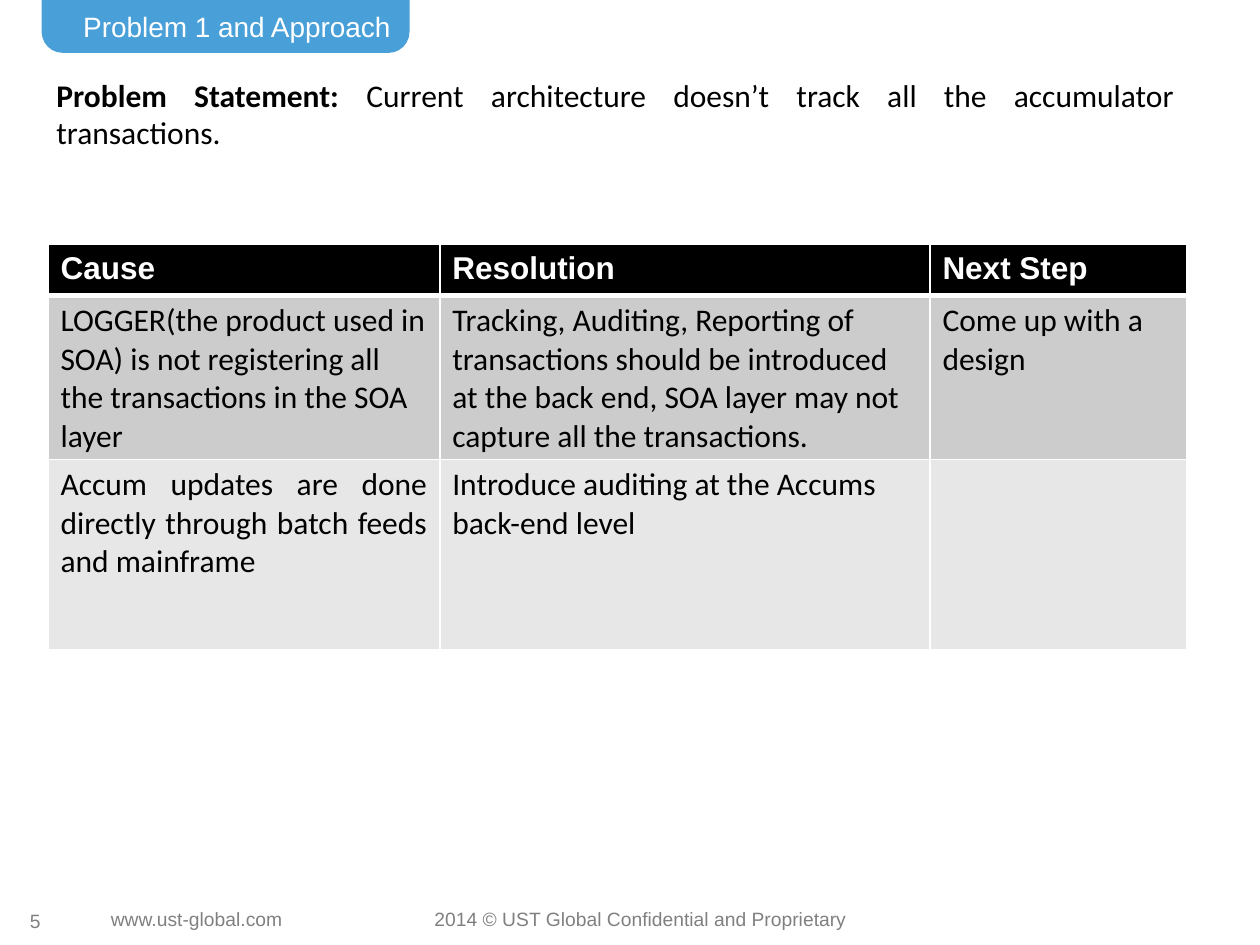
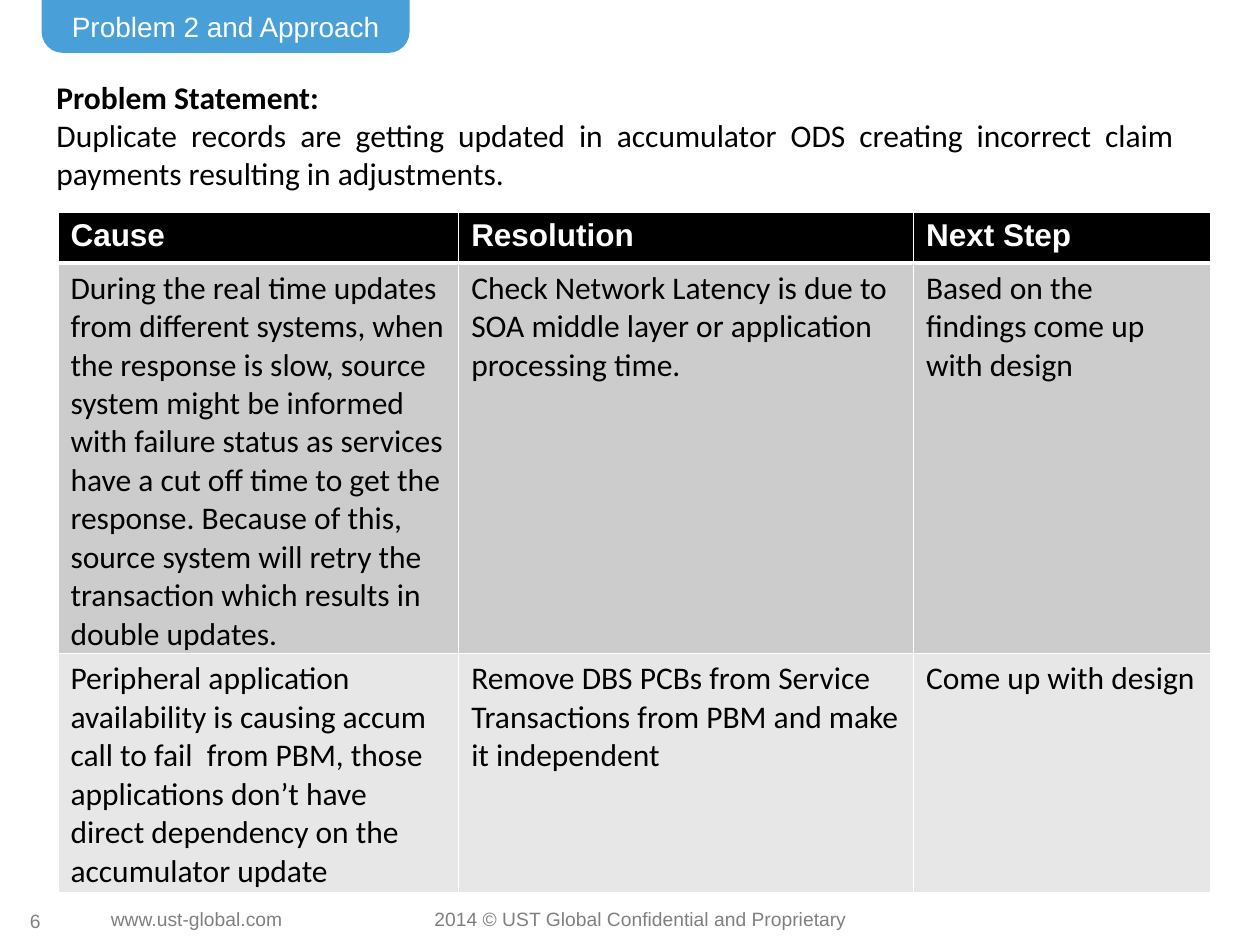
from lxml import etree
from pptx import Presentation
from pptx.dml.color import RGBColor
from pptx.enum import shapes, text
from pptx.oxml import ns
from pptx.util import Pt

BLUE = RGBColor(0x49, 0xA0, 0xD8)
GREY = RGBColor(0x80, 0x80, 0x80)
BLACK = RGBColor(0, 0, 0)
WHITE = RGBColor(0xFF, 0xFF, 0xFF)
ROW_FILLS = (BLACK, RGBColor(0xCC, 0xCC, 0xCC), RGBColor(0xE7, 0xE7, 0xE7))

TAB = {"name": "Arial", "size": Pt(16), "bold": False, "color": WHITE}
FOOTER = {"name": "Arial", "size": Pt(11), "color": GREY}
HEADER = {"name": "Arial", "size": Pt(18), "bold": True, "color": WHITE}
BODY = {"name": "Calibri", "size": Pt(18), "bold": False, "color": BLACK}
LABEL = {**BODY, "bold": True}

LEFT, CENTER, JUSTIFY = text.PP_ALIGN.LEFT, text.PP_ALIGN.CENTER, text.PP_ALIGN.JUSTIFY
MIDDLE = text.MSO_ANCHOR.MIDDLE
HEADINGS = ("Cause", "Resolution", "Next Step")

PROBLEMS = [
    {
        "number": "5",
        "title": "Problem 1 and Approach",
        "title_width": 223.2,
        "statement_box": (25.2, 39.6, 653, 51),
        "statement": [[("Problem Statement: ", LABEL),
                       ("Current architecture doesn’t track all the accumulator transactions.", BODY)]],
        "table_at": (27.4, 139.7),
        "cols": (223.9, 280.1, 146.9),
        "rows": (29.2, 92.9, 108.7),
        "justified": {(2, 0)},
        "cells": [
            ("LOGGER(the product used in SOA) is not registering all the transactions in the SOA layer",
             "Tracking, Auditing, Reporting of  transactions should be introduced at the back end, "
             "SOA layer may not capture all the transactions.",
             "Come up with a design"),
            ("Accum updates are done directly through batch feeds and mainframe",
             "Introduce auditing at the Accums back-end level",
             ""),
        ],
    },
    {
        "number": "6",
        "title": "Problem 2 and Approach",
        "title_width": 210.2,
        "statement_box": (25.2, 41, 653, 72.7),
        "statement": [[("Problem Statement:", LABEL)],
                      [("Duplicate records are getting updated in accumulator ODS creating "
                        "incorrect claim payments resulting in adjustments.", BODY)]],
        "table_at": (33.1, 121),
        "cols": (229, 259.9, 169.9),
        "rows": (29.2, 223.2, 136.8),
        "justified": set(),
        "cells": [
            ("During the real time updates from different systems, when the response is slow, "
             "source system might be informed with failure status as services have a cut off time "
             "to get the response. Because of this, source system will retry the transaction which "
             "results in double updates.",
             "Check Network Latency is due to SOA middle layer or application processing time.",
             "Based on the findings come up with design"),
            ("Peripheral application availability is causing accum call to fail  from PBM, those "
             "applications don’t have direct dependency on the accumulator update",
             "Remove DBS PCBs from Service Transactions from PBM and make it independent",
             "Come up with design"),
        ],
    },
]


def points(box):
    return [Pt(v) for v in box]


def set_font(font, fmt):
    for key, value in fmt.items():
        if key == "color":
            font.color.rgb = value
        else:
            setattr(font, key, value)


def write(p, runs, align=LEFT):
    p.alignment = align
    for content, fmt in runs:
        r = p.add_run()
        r.text = content
        set_font(r.font, fmt)


def add_text(s, box, paragraphs, align=LEFT, **frame):
    tf = s.shapes.add_textbox(*points(box)).text_frame
    for key, value in {"word_wrap": True, **frame}.items():
        setattr(tf, key, value)
    for i, runs in enumerate(paragraphs):
        write(tf.add_paragraph() if i else tf.paragraphs[0], runs, align)


def add_title_tab(s, title, box, title_width):
    left, top, width, height = box
    band = s.shapes.add_shape(shapes.MSO_SHAPE.ROUND_2_SAME_RECTANGLE, *points(box))
    band.rotation = 180
    band.adjustments[0] = 0.396
    band.shadow.inherit = False
    band.fill.solid()
    band.fill.fore_color.rgb = BLUE
    band.line.fill.background()
    sp = s.shapes.title
    sp._element.addprevious(band._element)
    for key, value in zip(("left", "top", "width", "height"),
                          points((left, top, title_width, height))):
        setattr(sp, key, value)
    tf = sp.text_frame
    tf.auto_size = text.MSO_AUTO_SIZE.NONE
    tf.vertical_anchor = MIDDLE
    write(tf.paragraphs[0], [(title, TAB)], CENTER)


def add_footer(s, number, box):
    left, top, width, height = box
    for offset, span, content in ((49.7, 113.8, "www.ust-global.com"),
                                  (234.7, 252, "2014 © UST Global Confidential and Proprietary")):
        add_text(s, (left + offset, top, span, height), [[(content, FOOTER)]], word_wrap=False)
    add_text(s, (left, top + 4.3, width, 14.4), [[(number, FOOTER)]], CENTER,
             vertical_anchor=MIDDLE, margin_left=0, margin_right=0, margin_top=0, margin_bottom=0)


def set_borders(cell, widths):
    tc_pr = cell._tc.get_or_add_tcPr()
    for i, (side, width) in enumerate(zip("LRTB", widths)):
        ln = etree.Element(ns.qn(f"a:ln{side}"), w=str(Pt(width)))
        fill = etree.SubElement(ln, ns.qn("a:solidFill"))
        etree.SubElement(fill, ns.qn("a:srgbClr"), val=str(WHITE))
        tc_pr.insert(i, ln)


def add_cause_table(s, at, cols, rows, cells, justified):
    box = (*at, sum(cols), sum(rows))
    table = s.shapes.add_table(len(rows), len(cols), *points(box)).table
    for col, width in zip(table.columns, cols):
        col.width = Pt(width)
    for row, height in zip(table.rows, rows):
        row.height = Pt(height)
    for i, contents in enumerate([HEADINGS, *cells]):
        for j, content in enumerate(contents):
            cell = table.cell(i, j)
            cell.fill.solid()
            cell.fill.fore_color.rgb = ROW_FILLS[i]
            set_borders(cell, (1, 1, 3 if i == 1 else 1, 3 if i == 0 else 1))
            if content:
                write(cell.text_frame.paragraphs[0], [(content, BODY if i else HEADER)],
                      JUSTIFY if (i, j) in justified else LEFT)


def add_problem_slide(prs, problem):
    s = prs.slides.add_slide(prs.slide_layouts[5])
    add_title_tab(s, problem["title"], (23.8, 0, 210.2, 30.2), problem["title_width"])
    add_text(s, problem["statement_box"], problem["statement"], JUSTIFY)
    add_cause_table(s, problem["table_at"], problem["cols"], problem["rows"],
                    problem["cells"], problem["justified"])
    add_footer(s, problem["number"], (6.5, 514.8, 27.4, 20.9))


def main():
    prs = Presentation()
    prs.slide_width, prs.slide_height = Pt(720), Pt(540)
    for problem in PROBLEMS:
        add_problem_slide(prs, problem)
    prs.save("out.pptx")


if __name__ == "__main__":
    main()
